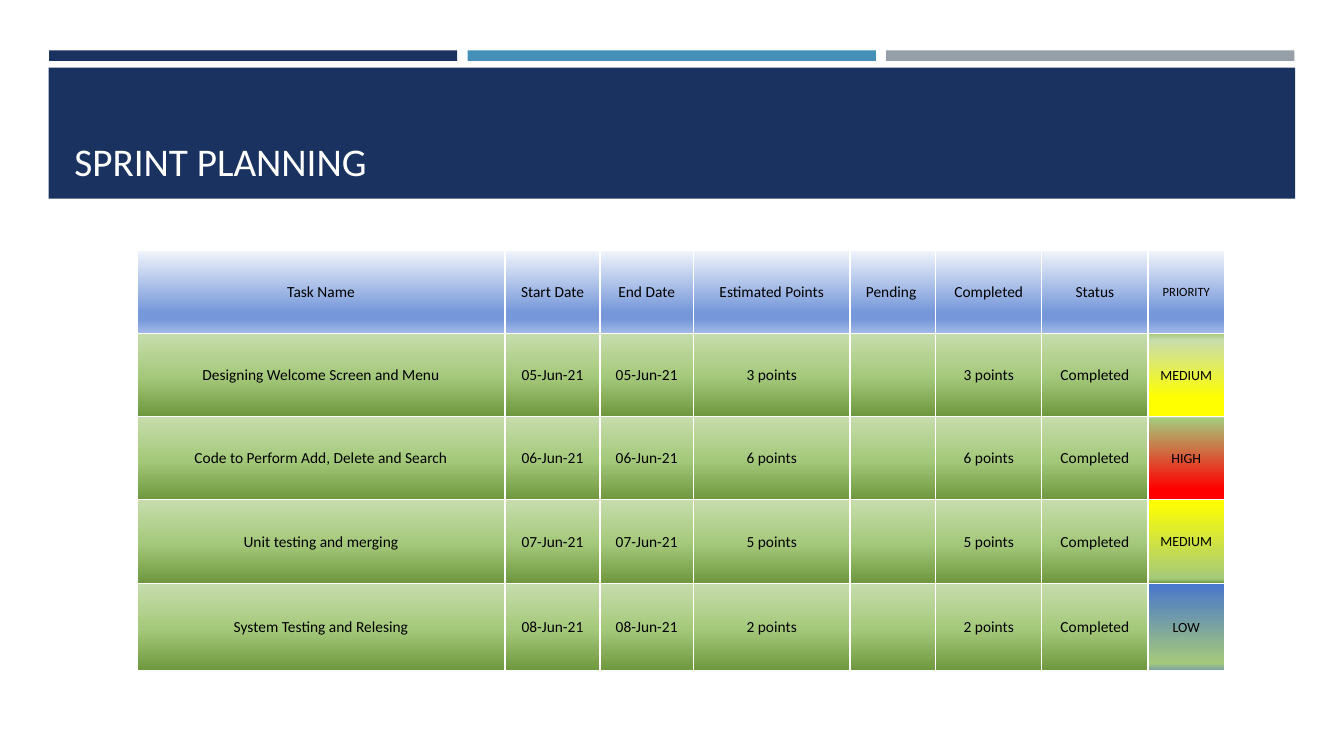
from lxml import etree
from pptx import Presentation
from pptx.dml.color import RGBColor
from pptx.enum.shapes import MSO_SHAPE as SHAPE
from pptx.enum.text import MSO_ANCHOR as ANCHOR, PP_ALIGN as ALIGN
from pptx.oxml.ns import qn
from pptx.util import Pt

FONT = "Calibri"
NAVY, BLUE, GREY, WHITE, BLACK = "1A3260", "4590B8", "969FA7", "FFFFFF", "000000"
rgb = RGBColor.from_string


def write(tf, text, size=11, color=BLACK, align=ALIGN.CENTER):
    p = tf.paragraphs[0]
    p.alignment = align
    r = p.add_run()
    r.text = text
    r.font.name = FONT
    r.font.size = Pt(size)
    r.font.color.rgb = rgb(color)


def style_cell(cell, stops, angle):
    """Give a cell white borders and a linear gradient of (percent, colour) stops."""
    tcPr = cell._tc.get_or_add_tcPr()
    for side in ("a:lnL", "a:lnR", "a:lnT", "a:lnB"):
        ln = etree.SubElement(tcPr, qn(side), w=str(Pt(1)))
        solid = etree.SubElement(ln, qn("a:solidFill"))
        etree.SubElement(solid, qn("a:srgbClr"), val=WHITE)
    grad = etree.SubElement(tcPr, qn("a:gradFill"), rotWithShape="1")
    gsLst = etree.SubElement(grad, qn("a:gsLst"))
    for percent, color in stops:
        gs = etree.SubElement(gsLst, qn("a:gs"), pos=str(percent * 1000))
        etree.SubElement(gs, qn("a:srgbClr"), val=color)
    etree.SubElement(grad, qn("a:lin"), ang=str(angle * 60000), scaled="0")


prs = Presentation()
prs.slide_width, prs.slide_height = Pt(960), Pt(540)
s = prs.slides.add_slide(prs.slide_layouts[6])

# Three accent bars above the title band
bars = [(35 + i * 299, 36, 291.6, 7.5, color) for i, color in enumerate((NAVY, BLUE, GREY))]
title_band = (34.7, 48.4, 890.4, 93.6, NAVY)
for x, y, w, h, color in bars + [title_band]:
    sp = s.shapes.add_shape(SHAPE.RECTANGLE, Pt(x), Pt(y), Pt(w), Pt(h))
    sp.shadow.inherit = False
    sp.fill.solid()
    sp.fill.fore_color.rgb = rgb(color)
    sp.line.fill.background()

title = s.shapes.add_textbox(Pt(46), Pt(55.4), Pt(868), Pt(80))
title.text_frame.word_wrap = True
title.text_frame.vertical_anchor = ANCHOR.BOTTOM
write(title.text_frame, "SPRINT PLANNING", size=28, color=WHITE, align=ALIGN.LEFT)

# Sprint table
HEADER = [(0, "F0F4FB"), (74, "7698DA"), (83, "7698DA"), (100, "A3BAE6")]
GREEN = [(0, "6E973E"), (48, "A5C97B"), (100, "C7DDAD")]
headings = ["Task Name", "Start Date", "End Date", "Estimated Points",
            "Pending ", "Completed", "Status", "PRIORITY"]
tasks = [
    ("Designing Welcome Screen and Menu", "05-Jun-21", "3 points", "MEDIUM",
     [(22, "FFFF00"), (92, "C7DDAD"), (100, "A5C97B")]),
    ("Code to Perform Add, Delete and Search", "06-Jun-21", "6 points", "HIGH",
     [(13, "FF0000"), (97, "A5C97B"), (100, "C7DDAD")]),
    ("Unit testing and merging", "07-Jun-21", "5 points", "MEDIUM",
     [(0, "6E973E"), (5, "A5C97B"), (98, "FFFF00")]),
    ("System Testing and Relesing", "08-Jun-21", "2 points", "LOW",
     [(0, "6E973E"), (0, "77A0A4"), (9, "A5C97B"), (100, "4876CD")]),
]
widths = [262.8, 67.9, 66.7, 111.9, 61.2, 75.8, 75.8, 54.7]
heights = [59.2, 59.2, 59.6, 59.6, 62.6]

rows = [(headings, [HEADER] * 8, 90, 9)]
for name, day, points, priority, stops in tasks:
    texts = [name, day, day, points, "", points, "Completed", priority]
    rows.append((texts, [GREEN] * 7 + [stops], 270, 10))

table = s.shapes.add_table(len(rows), len(widths), Pt(97.9), Pt(179),
                           Pt(sum(widths)), Pt(sum(heights))).table
for column, width in zip(table.columns, widths):
    column.width = Pt(width)
for i, (texts, fills, angle, priority_size) in enumerate(rows):
    table.rows[i].height = Pt(heights[i])
    for j, (text, stops) in enumerate(zip(texts, fills)):
        cell = table.cell(i, j)
        cell.vertical_anchor = ANCHOR.MIDDLE
        cell.margin_left = cell.margin_right = cell.margin_top = Pt(0.7)
        cell.margin_bottom = Pt(0)
        style_cell(cell, stops, angle)
        if text:
            write(cell.text_frame, text, size=priority_size if j == 7 else 11)

prs.save("out.pptx")
